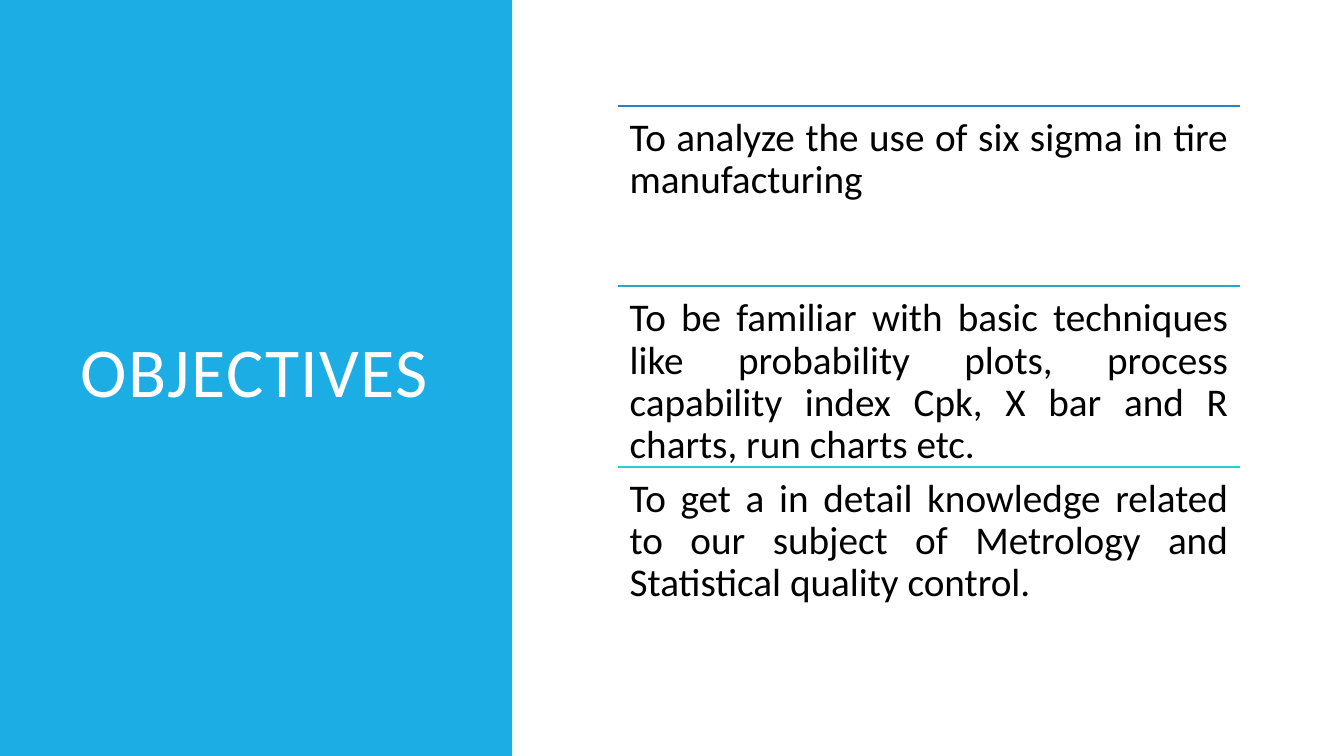
from lxml.etree import SubElement
from pptx import Presentation
from pptx.dml.color import RGBColor
from pptx.enum.shapes import MSO_CONNECTOR as Link, MSO_SHAPE as Shape
from pptx.enum.text import MSO_ANCHOR as Anchor, MSO_AUTO_SIZE as Fit, PP_ALIGN as Align
from pptx.oxml.ns import qn
from pptx.util import Pt

BLUE = RGBColor(0x1C, 0xAD, 0xE4)
WHITE = RGBColor(0xFF, 0xFF, 0xFF)
BLACK = RGBColor(0, 0, 0)
GOALS = [
    (RGBColor(0x26, 0x83, 0xC6),
     "To analyze the use of six sigma in tire manufacturing"),
    (RGBColor(0x27, 0xA7, 0xCE),
     "To be familiar with basic techniques like probability plots, process "
     "capability index Cpk, X bar and R charts, run charts etc."),
    (RGBColor(0x27, 0xCE, 0xD7),
     "To get a in detail knowledge related to our subject of Metrology and "
     "Statistical quality control."),
]


def write(frame, text, size, color, align, space):
    frame.word_wrap = True
    frame.auto_size = Fit.NONE
    frame.text = text
    para = frame.paragraphs[0]
    para.alignment = align
    para.line_spacing = space
    font = para.runs[0].font
    font.name = "Calibri"
    font.size = Pt(size)
    font.color.rgb = color
    return para


def add_panel(slide, left, top, width, height):
    panel = slide.shapes.add_shape(
        Shape.RECTANGLE, Pt(left), Pt(top), Pt(width), Pt(height))
    panel.shadow.inherit = False
    panel.fill.solid()
    panel.fill.fore_color.rgb = BLUE
    panel.line.fill.background()

    title = slide.shapes.title
    title.element.addprevious(panel.element)
    inset = 50.4
    title.left, title.top = Pt(left + inset), Pt(top + inset)
    title.width, title.height = Pt(269.3), Pt(438.5)
    frame = title.text_frame
    para = write(frame, "OBJECTIVES", 50, WHITE, Align.LEFT, 0.8)
    frame.vertical_anchor = Anchor.MIDDLE
    para.runs[0].font._element.set("spc", "100")


def add_goal(slide, left, top, width, height, color, text):
    rule = slide.shapes.add_connector(
        Link.STRAIGHT, Pt(left), Pt(top), Pt(left + width), Pt(top))
    rule.line.color.rgb = color
    rule.line.width = Pt(1.25)
    SubElement(rule.element.spPr, qn("a:effectLst"))

    box = slide.shapes.add_textbox(Pt(left), Pt(top), Pt(width), Pt(height))
    frame = box.text_frame
    frame.margin_left = frame.margin_right = Pt(8.4)
    frame.margin_top = frame.margin_bottom = Pt(8.4)
    write(frame, text, 28, BLACK, Align.JUSTIFY, 0.9)


def add_goals(slide, left, top, width, height):
    step = height / len(GOALS)
    for row, (color, text) in enumerate(GOALS):
        add_goal(slide, left, top + row * step, width, step, color, text)


def main():
    deck = Presentation()
    deck.slide_width, deck.slide_height = Pt(960), Pt(540)
    slide = deck.slides.add_slide(deck.slide_layouts[5])
    add_panel(slide, 0, 0, 365.8, 540)
    add_goals(slide, 441.4, 75.6, 444.2, 386.6)
    deck.save("out.pptx")


if __name__ == "__main__":
    main()
